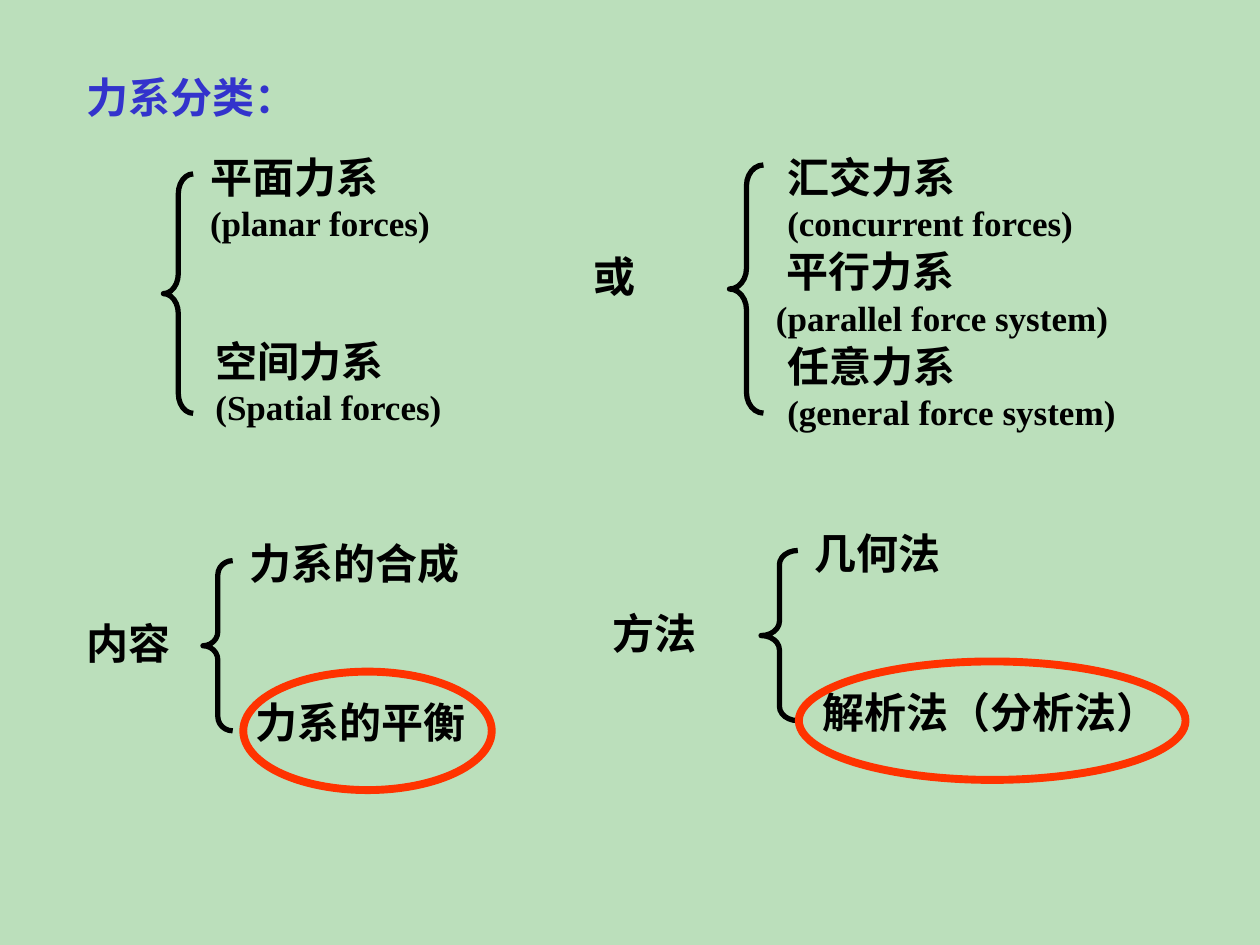
import pptx
import pptx.util
import pptx.dml.color
import pptx.enum.shapes
import pptx.enum.text

Pt = pptx.util.Pt
MSO_SHAPE = pptx.enum.shapes.MSO_SHAPE
ALIGN = pptx.enum.text.PP_ALIGN

THEME = {
    "font": "Times New Roman", "term": 24, "english": 20,
    "background": "BBDFBB", "title": "3333CC", "text": "000000", "mark": "FF3300",
    "brace_line": 3, "mark_line": 4.5,
}

# Boxes are (left, top, width, height) in points.
TITLE = ("力系分类：", (42.5, 37.4, 134, 36))
OR_LABEL = ("或", (332, 139.7, 38, 36))

# Each item: Chinese term, English term, box, indent of the Chinese term.
SCHEMES = [
    {"label": ("内容", (42.5, 349.2, 62, 36)),
     "brace": (116, 320.4, 17, 97.2),
     "items": [("力系的合成", None, (135.4, 303.8, 186, 48), 0),
               ("力系的平衡", None, (139, 394.6, 186, 48), 0)]},
    {"label": ("方法", (342.7, 343.4, 62, 36)),
     "brace": (434.9, 314.6, 21, 97.2),
     "items": [("几何法", None, (458.6, 298, 231, 48), 0),
               ("解析法（分析法）", None, (463, 388.8, 231, 48), 0)]},
    {"brace": (93.4, 99.4, 17, 136.8),
     "items": [("平面力系", "(planar forces)", (113, 82.8, 225, 48), 0),
               ("空间力系", "(Spatial forces)", (116, 188, 186, 48), 0)]},
    {"brace": (416.9, 94.3, 19.4, 141.8),
     "items": [("汇交力系", "(concurrent forces)", (442.8, 82.8, 249, 60.5), 0),
               ("平行力系", "(parallel force system)", (436.3, 136.8, 262, 48), 6),
               ("任意力系", "(general force system)", (442.8, 190.8, 213, 85), 0)]},
]

MARKS = [(139, 383.8, 142, 67.7), (456.5, 378, 221, 67.7)]


def rgb(name):
    return pptx.dml.color.RGBColor.from_string(THEME[name])


def style(p, size, color, align):
    p.alignment = align
    p.font.name = THEME["font"]
    p.font.size = Pt(THEME[size])
    p.font.bold = True
    p.font.color.rgb = rgb(color)


def fill_frame(tf, lines, color="text", align=ALIGN.LEFT, wrap=False, indent=0):
    """Write (text, size) lines into a top-anchored frame."""
    tf.word_wrap = wrap
    tf.auto_size = pptx.enum.text.MSO_AUTO_SIZE.NONE
    tf.vertical_anchor = pptx.enum.text.MSO_ANCHOR.TOP
    for i, (text, size) in enumerate(lines):
        p = tf.add_paragraph() if i else tf.paragraphs[0]
        p.text = text
        if indent and i == 0:
            p._p.get_or_add_pPr().set("marL", str(Pt(indent)))
        style(p, size, color, align)


def add_text(shapes, box, lines, **options):
    tb = shapes.add_textbox(*map(Pt, box))
    fill_frame(tb.text_frame, lines, **options)


def add_outline(shapes, kind, box, color, width):
    sp = shapes.add_shape(kind, *map(Pt, box))
    sp.shadow.inherit = False
    sp.fill.background()
    sp.line.color.rgb = rgb(color)
    sp.line.width = Pt(THEME[width])
    return sp


def add_brace(shapes, box):
    brace = add_outline(shapes, MSO_SHAPE.LEFT_BRACE, box, "text", "brace_line")
    brace.adjustments[0] = box[3] / 12 / box[2]  # each bend is 1/12 of the height


def add_scheme(s, scheme):
    shapes = s.shapes.add_group_shape().shapes
    add_brace(shapes, scheme["brace"])
    for chinese, english, box, indent in scheme["items"]:
        lines = [(chinese, "term")]
        if english:
            lines.append((english, "english"))
        add_text(shapes, box, lines, wrap=True, indent=indent)
    if "label" in scheme:
        text, box = scheme["label"]
        add_text(shapes, box, [(text, "term")])


def main():
    prs = pptx.Presentation()
    prs.slide_width, prs.slide_height = Pt(720), Pt(540)
    s = prs.slides.add_slide(prs.slide_layouts[5])
    s.background.fill.solid()
    s.background.fill.fore_color.rgb = rgb("background")

    text, box = TITLE
    title = s.shapes.title
    title.left, title.top, title.width, title.height = map(Pt, box)
    fill_frame(title.text_frame, [(text, "term")], color="title")

    text, box = OR_LABEL
    add_text(s.shapes, box, [(text, "term")], align=ALIGN.CENTER)
    for scheme in SCHEMES:
        add_scheme(s, scheme)
    for box in MARKS:
        add_outline(s.shapes, MSO_SHAPE.OVAL, box, "mark", "mark_line")

    prs.save("out.pptx")


if __name__ == "__main__":
    main()
